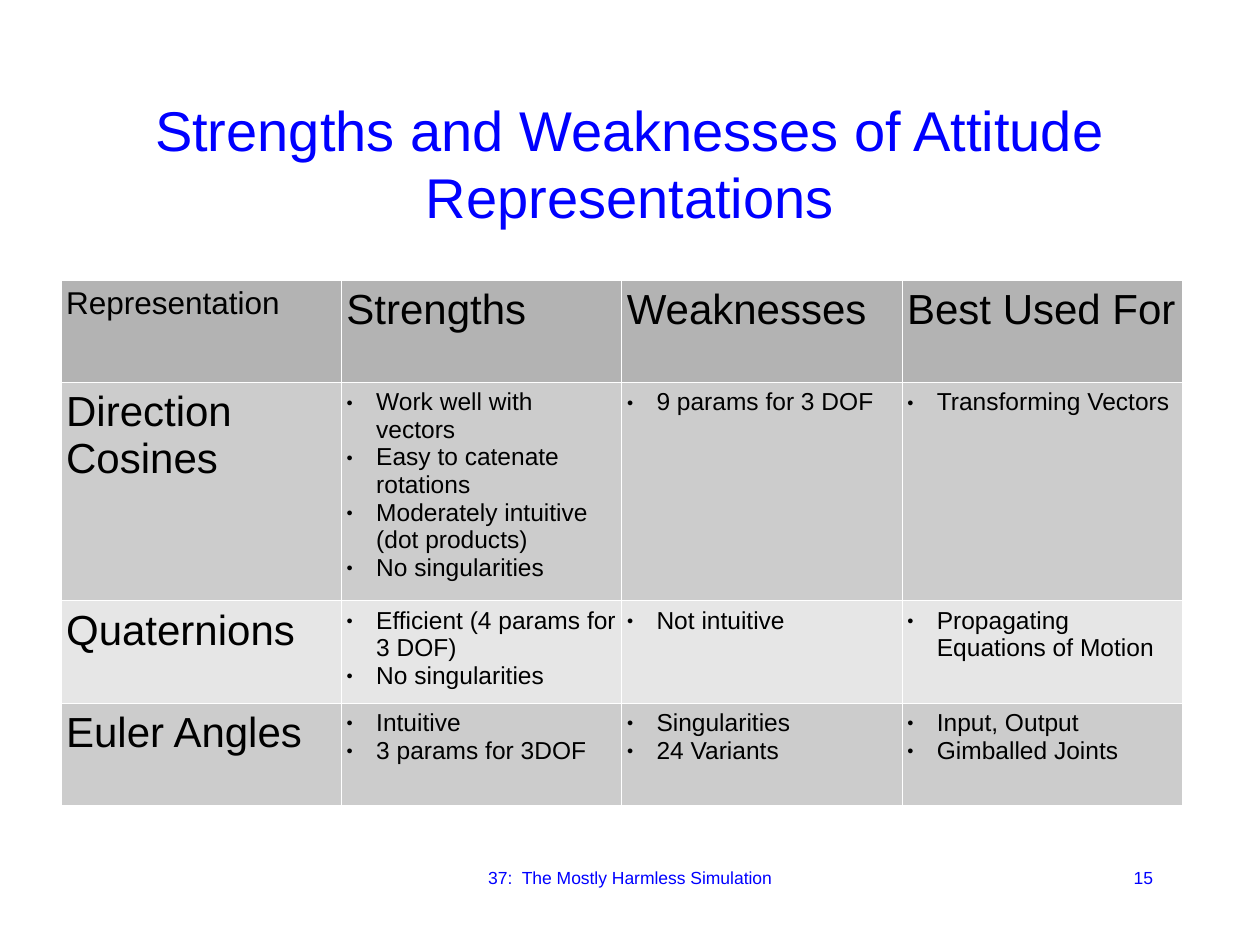
import pptx
import pptx.util
import pptx.dml.color
import pptx.enum.text
import pptx.oxml.ns
from lxml import etree

Pt = pptx.util.Pt
RGBColor = pptx.dml.color.RGBColor
ALIGN = pptx.enum.text.PP_ALIGN
ANCHOR = pptx.enum.text.MSO_ANCHOR

BLUE = RGBColor(0x00, 0x00, 0xFF)
BLACK = RGBColor(0x00, 0x00, 0x00)
WHITE = RGBColor(0xFF, 0xFF, 0xFF)
HEADER_GRAY = RGBColor(0xB3, 0xB3, 0xB3)
DARK_BAND = RGBColor(0xCC, 0xCC, 0xCC)
LIGHT_BAND = RGBColor(0xE6, 0xE6, 0xE6)

FONT = "Arial"
BULLET_INDENT = Pt(17)
COLUMN_WIDTH = Pt(160.2)
ROW_HEIGHTS = [58.5, 116, 58.5, 58.5]

HEADINGS = ["Representation", "Strengths", "Weaknesses", "Best Used For"]
ROWS = [
    ("Direction Cosines",
     ["Work well with vectors", "Easy to catenate rotations",
      "Moderately intuitive (dot products)", "No singularities"],
     ["9 params for 3 DOF"],
     ["Transforming Vectors"]),
    ("Quaternions",
     ["Efficient (4 params for 3 DOF)", "No singularities"],
     ["Not intuitive"],
     ["Propagating Equations of Motion"]),
    ("Euler Angles",
     ["Intuitive", "3 params for 3DOF"],
     ["Singularities", "24 Variants"],
     ["Input, Output", "Gimballed Joints"]),
]


def add_element(parent, tag, **attributes):
    element = etree.SubElement(parent, pptx.oxml.ns.qn(tag))
    for name, value in attributes.items():
        element.set(name, str(value))
    return element


def add_run(paragraph, text, size, color):
    run = paragraph.add_run()
    run.text = text
    run.font.name = FONT
    run.font.size = Pt(size)
    run.font.color.rgb = color


def add_text(slide, text, left, top, width, height, size, align, anchor=ANCHOR.TOP):
    shape = slide.shapes.add_textbox(Pt(left), Pt(top), Pt(width), Pt(height))
    frame = shape.text_frame
    frame.word_wrap = True
    frame.vertical_anchor = anchor
    paragraph = frame.paragraphs[0]
    paragraph.alignment = align
    add_run(paragraph, text, size, BLUE)


def set_bullet(paragraph):
    properties = paragraph._p.get_or_add_pPr()
    properties.set("marL", str(BULLET_INDENT))
    properties.set("indent", str(-BULLET_INDENT))
    color = add_element(properties, "a:buClr")
    add_element(color, "a:srgbClr", val=BLACK)
    add_element(properties, "a:buSzPct", val=45000)
    add_element(properties, "a:buFont", typeface=FONT)
    add_element(properties, "a:buChar", char="●")


def set_borders(cell):
    properties = cell._tc.get_or_add_tcPr()
    for side in ("a:lnL", "a:lnR", "a:lnT", "a:lnB"):
        line = add_element(properties, side, w=Pt(0.57))
        fill = add_element(line, "a:solidFill")
        add_element(fill, "a:srgbClr", val=WHITE)


def fill_cell(cell, texts, size, color, bulleted=False):
    cell.margin_left = cell.margin_right = Pt(2.9)
    cell.margin_top = cell.margin_bottom = Pt(3.6)
    set_borders(cell)
    cell.fill.solid()
    cell.fill.fore_color.rgb = color
    frame = cell.text_frame
    for index, text in enumerate(texts):
        paragraph = frame.add_paragraph() if index else frame.paragraphs[0]
        if bulleted:
            set_bullet(paragraph)
        add_run(paragraph, text, size, BLACK)


def add_comparison_table(slide):
    columns = len(HEADINGS)
    frame = slide.shapes.add_table(len(ROWS) + 1, columns, Pt(34.9), Pt(160),
                                   COLUMN_WIDTH * columns, Pt(sum(ROW_HEIGHTS)))
    table = frame.table
    table.first_row = False
    table.horz_banding = False
    for column in table.columns:
        column.width = COLUMN_WIDTH
    for row, height in zip(table.rows, ROW_HEIGHTS):
        row.height = Pt(height)

    # Header row
    for index, heading in enumerate(HEADINGS):
        fill_cell(table.cell(0, index), [heading], 24 if index else 18, HEADER_GRAY)

    # Body rows in alternating bands
    for row_index, (name, *lists) in enumerate(ROWS, start=1):
        color = DARK_BAND if row_index % 2 else LIGHT_BAND
        fill_cell(table.cell(row_index, 0), [name], 24, color)
        for column_index, items in enumerate(lists, start=1):
            fill_cell(table.cell(row_index, column_index), items, 14, color, bulleted=True)


def main():
    presentation = pptx.Presentation()
    presentation.slide_width = Pt(720)
    presentation.slide_height = Pt(540)
    slide = presentation.slides.add_slide(presentation.slide_layouts[6])

    # Title
    add_text(slide, "Strengths and Weaknesses of Attitude Representations",
             54, 48, 612, 90, 32, ALIGN.CENTER, ANCHOR.MIDDLE)

    # Comparison table
    add_comparison_table(slide)

    # Footer and slide number
    add_text(slide, "37:  The Mostly Harmless Simulation", 246, 492, 228, 36, 10, ALIGN.CENTER)
    add_text(slide, "15", 516, 492, 150, 36, 10, ALIGN.RIGHT)

    presentation.save("out.pptx")


if __name__ == "__main__":
    main()
